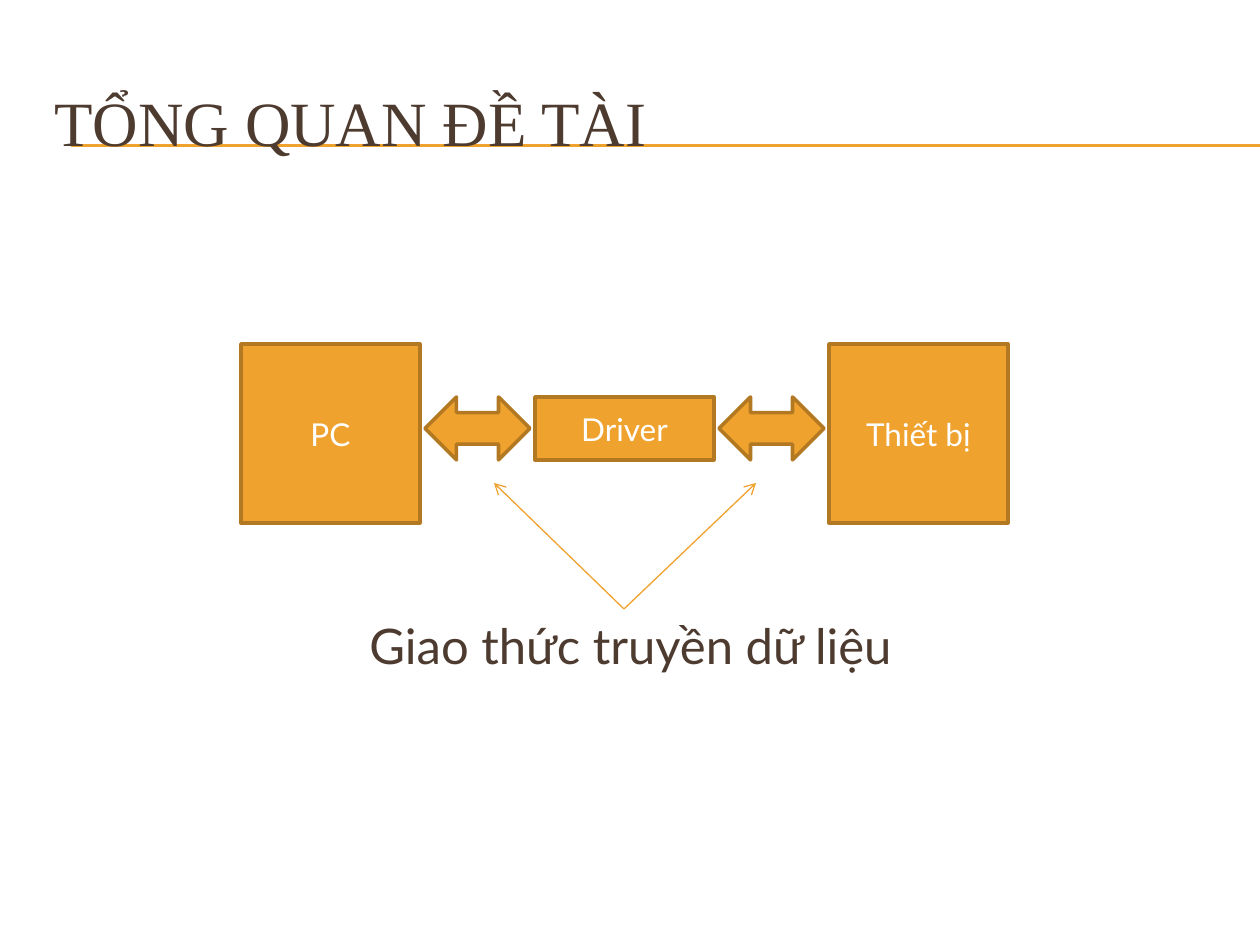
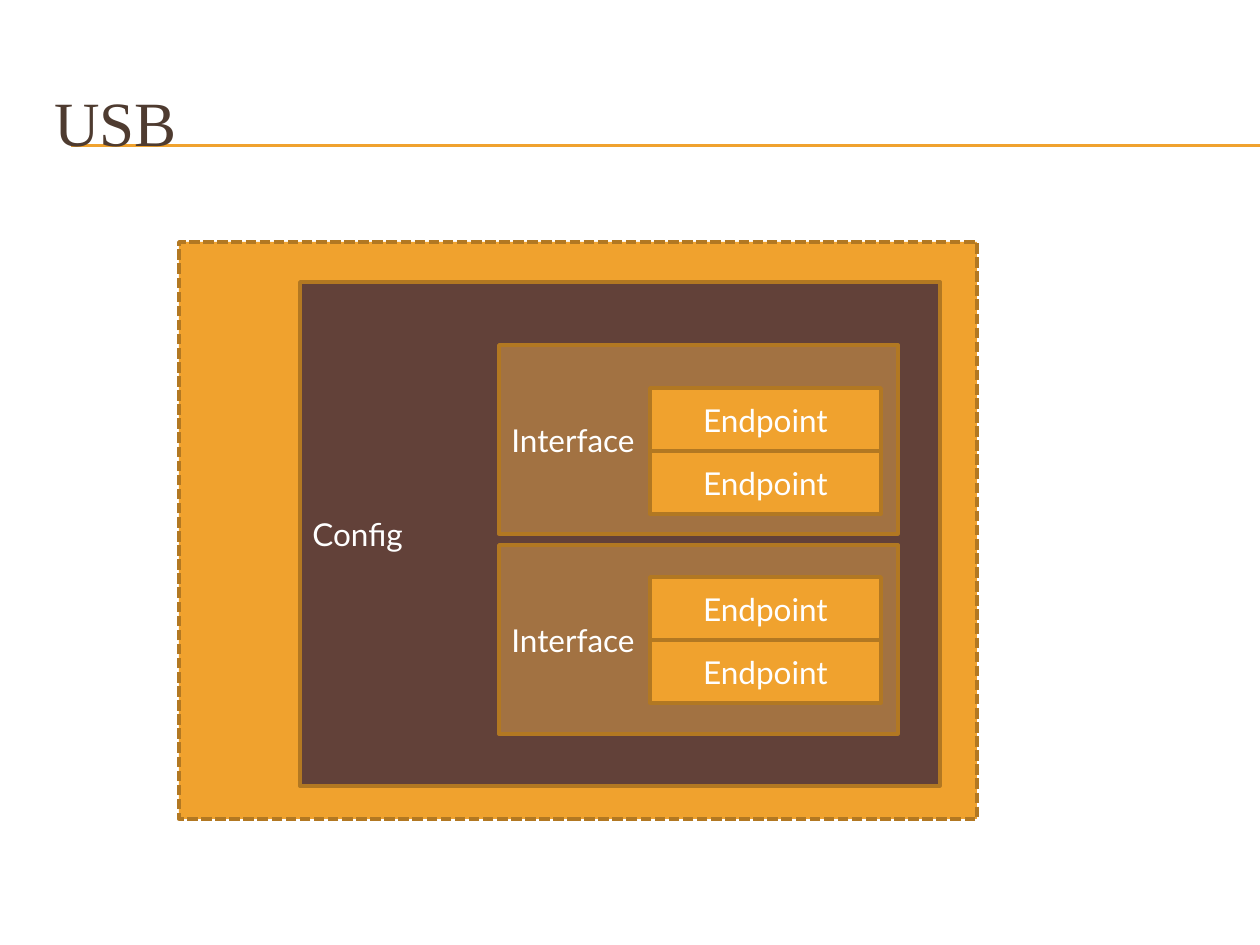
from pptx import Presentation
from pptx.dml.color import RGBColor
from pptx.enum.dml import MSO_LINE
from pptx.enum.shapes import MSO_CONNECTOR, MSO_SHAPE
from pptx.enum.text import MSO_ANCHOR, PP_ALIGN
from pptx.oxml.ns import qn
from pptx.util import Pt
from lxml.etree import SubElement

PX = 914400 / 126  # EMU in one px
SLIDE_WIDTH, SLIDE_HEIGHT = 1260, 945

ORANGE, EDGE = "F0A22E", "B27822"
DARK_BROWN, LIGHT_BROWN = "624139", "A27242"
INK, WHITE = "4E3B30", "FFFFFF"
TITLE_FONT, BODY_FONT = "Times New Roman", "Lato"


def emu(*lengths):
    return [round(length * PX) for length in lengths]


def color(hex_code):
    return RGBColor.from_string(hex_code)


def write(frame, text, font_name, size, hex_code, align=PP_ALIGN.LEFT):
    frame.word_wrap = True
    paragraph = frame.paragraphs[0]
    paragraph.text = text
    paragraph.alignment = align
    paragraph.font.name = font_name
    paragraph.font.size = Pt(size)
    paragraph.font.color.rgb = color(hex_code)


def add_text(slide, text, left, top, width, height, font_name, size,
             anchor=MSO_ANCHOR.TOP):
    frame = slide.shapes.add_textbox(*emu(left, top, width, height)).text_frame
    frame.vertical_anchor = anchor
    write(frame, text, font_name, size, INK)


def add_block(slide, left, top, width, height, label="", fill=ORANGE,
              align=PP_ALIGN.CENTER, preset=MSO_SHAPE.RECTANGLE, dash=None):
    block = slide.shapes.add_shape(preset, *emu(left, top, width, height))
    block.shadow.inherit = False
    block.fill.solid()
    block.fill.fore_color.rgb = color(fill)
    block.line.color.rgb = color(EDGE)
    block.line.width = Pt(2)
    if dash:
        block.line.dash_style = dash
    if label:
        block.text_frame.vertical_anchor = MSO_ANCHOR.MIDDLE
        write(block.text_frame, label, BODY_FONT, 18, WHITE, align)


def add_line(slide, x1, y1, x2, y2, arrow=False):
    line = slide.shapes.add_connector(MSO_CONNECTOR.STRAIGHT, *emu(x1, y1, x2, y2))
    line.line.color.rgb = color(ORANGE)
    line.line.width = Pt(0.75)
    if arrow:
        SubElement(line.line._get_or_add_ln(), qn("a:tailEnd"), type="arrow")
    SubElement(line._element.spPr, qn("a:effectLst"))


def add_titled_slide(deck, title):
    slide = deck.slides.add_slide(deck.slide_layouts[6])
    # Double rule running to the right edge
    for rule_y in (145, 146):
        add_line(slide, 71, rule_y, SLIDE_WIDTH, rule_y)
    add_text(slide, title, 42, 63, 1197, 116, TITLE_FONT, 36, MSO_ANCHOR.MIDDLE)
    return slide


def build_overview(deck):
    slide = add_titled_slide(deck, "TỔNG QUAN ĐỀ TÀI")
    add_text(slide, "Giao thức truyền dữ liệu", 357, 609, 861, 112, BODY_FONT, 28)

    # Chain of parts, centred on one axis
    axis_y, part_width, step = 433, 179, 294
    first_left = 241
    for index, (label, height) in enumerate(
            [("PC", 179), ("Driver", 63), ("Thiết bị", 179)]):
        top = 397 if label == "Driver" else axis_y - height // 2
        add_block(slide, first_left + index * step, top, part_width, height, label)

    # Links between the parts, each with a pointer from the caption
    for index, pointer_x in enumerate((494, 756)):
        add_block(slide, 425 + index * step, 397, 105, 63,
                  preset=MSO_SHAPE.LEFT_RIGHT_ARROW)
        add_line(slide, 624, 609, pointer_x, 483, arrow=True)


def build_usb(deck):
    slide = add_titled_slide(deck, "USB")

    # Device and its configuration
    add_block(slide, 179, 242, 798, 577, dash=MSO_LINE.SQUARE_DOT)
    add_block(slide, 300, 282, 640, 504, "Config", DARK_BROWN, PP_ALIGN.LEFT)

    # Interfaces, each holding two stacked endpoints
    endpoint_height = 63
    for interface_top, endpoints_top in ((345, 388), (545, 577)):
        add_block(slide, 499, interface_top, 399, 189, "Interface",
                  LIGHT_BROWN, PP_ALIGN.LEFT)
        for row in range(2):
            add_block(slide, 650, endpoints_top + row * endpoint_height,
                      231, endpoint_height, "Endpoint")


def main():
    deck = Presentation()
    deck.slide_width, deck.slide_height = emu(SLIDE_WIDTH, SLIDE_HEIGHT)
    build_overview(deck)
    build_usb(deck)
    deck.save("out.pptx")


if __name__ == "__main__":
    main()
